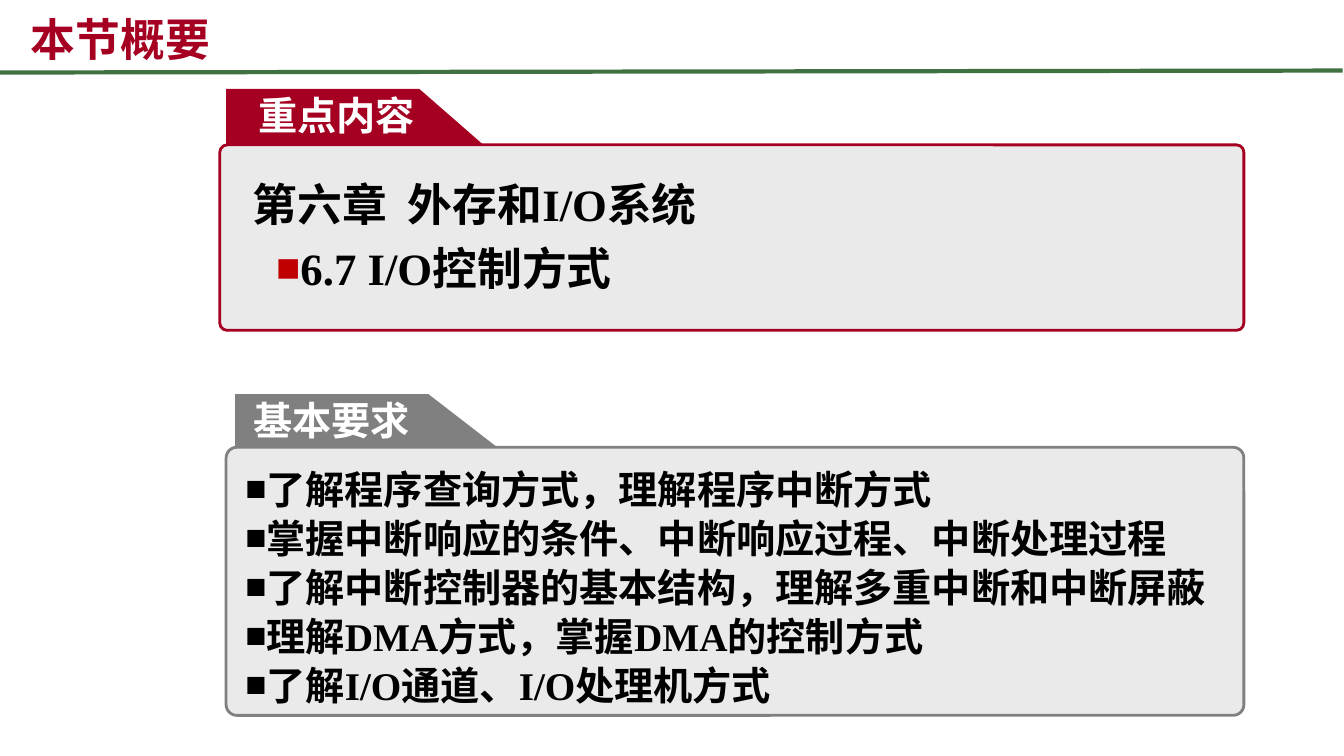
from lxml import etree
from pptx import Presentation
from pptx.dml.color import RGBColor
from pptx.enum.shapes import MSO_CONNECTOR as Connector, MSO_SHAPE as Shape
from pptx.enum.text import MSO_ANCHOR as Anchor, MSO_AUTO_SIZE as AutoSize, PP_ALIGN as Align
from pptx.oxml.ns import qn
from pptx.util import Pt

CRIMSON = RGBColor(0xA5, 0x00, 0x21)
RED = RGBColor(0xC0, 0x00, 0x00)
GREEN = RGBColor(0x3F, 0x71, 0x41)
GRAY = RGBColor(0x80, 0x80, 0x80)
LIGHT_GRAY = RGBColor(0xEA, 0xEA, 0xEA)
BLACK = RGBColor(0x00, 0x00, 0x00)
WHITE = RGBColor(0xFF, 0xFF, 0xFF)

CJK_FONT = "Noto Sans CJK SC"
SERIF = "Times New Roman"
SANS = "Arial"

REQUIREMENTS = [
    "了解程序查询方式，理解程序中断方式",
    "掌握中断响应的条件、中断响应过程、中断处理过程",
    "了解中断控制器的基本结构，理解多重中断和中断屏蔽",
    "理解DMA方式，掌握DMA的控制方式",
    "了解I/O通道、I/O处理机方式",
]


def place(shape, left, top, width, height):
    shape.left, shape.top = Pt(left), Pt(top)
    shape.width, shape.height = Pt(width), Pt(height)


def bring_to_front(shape):
    shape.element.getparent().append(shape.element)


def write_lines(shape, lines, size, font, color, line_height=None, anchor=Anchor.TOP):
    """Fill the shape with one left-aligned bold paragraph per line."""
    frame = shape.text_frame
    frame.word_wrap = True
    frame.auto_size = AutoSize.NONE
    frame.vertical_anchor = anchor
    frame.margin_left = frame.margin_right = Pt(7.2)
    frame.margin_top = frame.margin_bottom = Pt(3.6)
    for number, line in enumerate(lines):
        paragraph = frame.add_paragraph() if number else frame.paragraphs[0]
        paragraph.alignment = Align.LEFT
        paragraph.space_before = Pt(0)
        if line_height:
            paragraph.line_spacing = Pt(line_height)
        run = paragraph.add_run()
        run.text = line
        run.font.size = Pt(size)
        run.font.bold = True
        run.font.name = font
        run.font.color.rgb = color
        east_asian = etree.Element(qn("a:ea"), typeface=CJK_FONT)
        run.font._element.find(qn("a:latin")).addnext(east_asian)


def add_square_bullets(shape, margin, hanging, color):
    for paragraph in shape.text_frame.paragraphs:
        properties = paragraph._p.get_or_add_pPr()
        properties.set("marL", str(Pt(margin)))
        properties.set("indent", str(-Pt(hanging)))
        bullet_color = etree.SubElement(properties, qn("a:buClr"))
        etree.SubElement(bullet_color, qn("a:srgbClr"), val=str(color))
        etree.SubElement(properties, qn("a:buSzPct"), val="90000")
        etree.SubElement(properties, qn("a:buFont"), typeface=SERIF)
        etree.SubElement(properties, qn("a:buChar"), char="■")


def add_text_box(slide, left, top, width, height, text, size, font, color, line_height):
    box = slide.shapes.add_textbox(Pt(left), Pt(top), Pt(width), Pt(height))
    write_lines(box, [text], size, font, color, line_height)


def add_header(slide, text):
    title = slide.shapes.title
    place(title, 8, 4.3, 233, 46)
    write_lines(title, [text], 32, CJK_FONT, CRIMSON, anchor=Anchor.BOTTOM)
    title.text_frame.margin_left = Pt(14)
    rule = slide.shapes.add_connector(Connector.STRAIGHT, Pt(0), Pt(51.8), Pt(959), Pt(50.4))
    rule.line.color.rgb = GREEN
    rule.line.width = Pt(3)
    etree.SubElement(rule._element.spPr, qn("a:effectLst"))


def add_tab(slide, left, top, height, color, label, label_offset):
    """Draw a label tab with a slanted right side."""
    flat_width, full_width = 138, 193
    builder = slide.shapes.build_freeform(Pt(left), Pt(top))
    builder.add_line_segments([
        (Pt(left + flat_width), Pt(top)),
        (Pt(left + full_width), Pt(top + height)),
        (Pt(left), Pt(top + height)),
    ], close=True)
    tab = builder.convert_to_shape()
    tab.shadow.inherit = False
    tab.fill.solid()
    tab.fill.fore_color.rgb = color
    tab.line.fill.background()
    add_text_box(slide, left + label_offset, top - 3, 135, 41, label, 28, SANS, WHITE, 35)


def add_panel(slide, left, top, width, height, color):
    panel = slide.shapes.add_shape(
        Shape.ROUNDED_RECTANGLE, Pt(left), Pt(top), Pt(width), Pt(height))
    panel.adjustments[0] = 0.04
    panel.shadow.inherit = False
    panel.fill.solid()
    panel.fill.fore_color.rgb = LIGHT_GRAY
    panel.line.color.rgb = color
    panel.line.width = Pt(2)


def add_key_content(slide, body, left, top, width, height):
    add_tab(slide, left + 4.5, top - 40, 48, CRIMSON, "重点内容", 16)
    add_panel(slide, left, top, width, height, CRIMSON)
    place(body, left + 14, top + 63.5, width - 14, 46)
    write_lines(body, ["6.7 I/O控制方式"], 32, SERIF, BLACK, 40)
    add_square_bullets(body, 36, 17, RED)
    bring_to_front(body)
    add_text_box(slide, left + 16.5, top + 13.5, 492, 48,
                 "第六章  外存和I/O系统", 32, SERIF, BLACK, 44)


def add_requirements(slide, body, left, top, width, height):
    add_tab(slide, left + 6.5, top - 38, 42.5, GRAY, "基本要求", 6)
    add_panel(slide, left, top, width, height, GRAY)
    place(body, left + 6.5, top + 7.5, width - 7, height - 8)
    write_lines(body, REQUIREMENTS, 28, SERIF, BLACK, 35)
    add_square_bullets(body, 13.7, 13.7, BLACK)
    bring_to_front(body)


def main():
    presentation = Presentation()
    presentation.slide_width, presentation.slide_height = Pt(960), Pt(540)
    two_content_layout = presentation.slide_layouts[3]
    slide = presentation.slides.add_slide(two_content_layout)
    key_body, requirements_body = slide.placeholders[1], slide.placeholders[2]
    add_header(slide, "本节概要")
    add_key_content(slide, key_body, 157, 103.5, 731.5, 132.5)
    add_requirements(slide, requirements_body, 161.5, 319.5, 727, 191.5)
    presentation.save("out.pptx")


if __name__ == "__main__":
    main()
